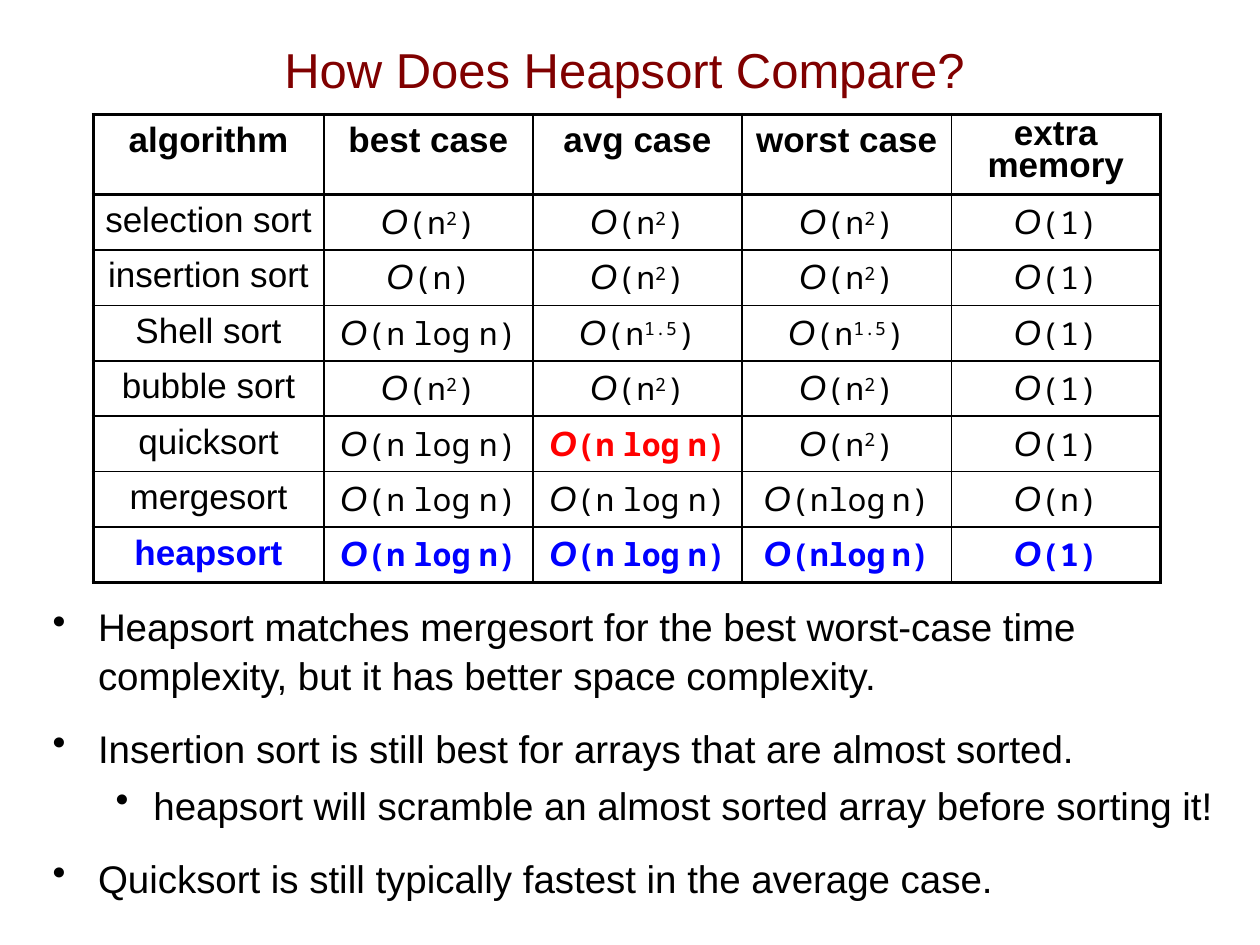
import pptx
import pptx.dml.color
import pptx.enum.text
import pptx.oxml
import pptx.oxml.ns
import pptx.util
from pptx.util import Inches

COLORS = {"title": "800000", "text": "000000", "fast": "FF0000", "heapsort": "0000FF"}
HEADERS = ["algorithm", "best case", "avg case", "worst case", "extra memory"]
SORTS = [
    ["selection sort", "n^2", "n^2", "n^2", "1"],
    ["insertion sort", "n", "n^2", "n^2", "1"],
    ["Shell sort", "n log n", "n^1.5", "n^1.5", "1"],
    ["bubble sort", "n^2", "n^2", "n^2", "1"],
    ["quicksort", "n log n", "n log n", "n^2", "1"],
    ["mergesort", "n log n", "n log n", "nlog n", "n"],
    ["heapsort", "n log n", "n log n", "nlog n", "1"],
]
BULLETS = [
    (0, 0, "Heapsort matches mergesort for the best worst-case time complexity, "
           "but it has better space complexity."),
    (0, 14, "Insertion sort is still best for arrays that are almost sorted."),
    (1, 5, "heapsort will scramble an almost sorted array before sorting it!"),
    (0, 14, "Quicksort is still typically fastest in the average case."),
]
BULLET_INDENTS = [(0.36, -0.36), (0.8, -0.3)]


class SlideBuilder:
    body_font = "Arial"
    code_font = "Noto Sans Mono"
    thick, thin = 2.25, 1

    def __init__(self, slide):
        self.slide = slide

    def style(self, font, size, color="text", bold=False, italic=False, name=None):
        font.name = name or self.body_font
        font.size = pptx.util.Pt(size)
        font.bold = bold
        font.italic = italic
        font.color.rgb = pptx.dml.color.RGBColor.from_string(COLORS[color])

    def text_box(self, left, top, width, height):
        shape = self.slide.shapes.add_textbox(
            Inches(left), Inches(top), Inches(width), Inches(height))
        shape.text_frame.word_wrap = True
        return shape.text_frame

    def title(self, text, *box):
        frame = self.text_box(*box)
        frame.vertical_anchor = pptx.enum.text.MSO_ANCHOR.MIDDLE
        paragraph = frame.paragraphs[0]
        paragraph.text = text
        paragraph.alignment = pptx.enum.text.PP_ALIGN.CENTER
        self.style(paragraph.font, 28, "title")

    def bullets(self, items, *box):
        frame = self.text_box(*box)
        for index, (level, space, text) in enumerate(items):
            paragraph = frame.add_paragraph() if index else frame.paragraphs[0]
            paragraph.text = text
            paragraph.level = level
            paragraph.line_spacing = 1.05
            paragraph.space_before = pptx.util.Pt(space)
            self.style(paragraph.font, 22)
            margin, indent = BULLET_INDENTS[level]
            properties = paragraph._p.get_or_add_pPr()
            properties.set("marL", str(Inches(margin)))
            properties.set("indent", str(Inches(indent)))
            bullet = pptx.oxml.parse_xml(
                f'<a:buChar {pptx.oxml.ns.nsdecls("a")} char="•"/>')
            properties.find(pptx.oxml.ns.qn("a:defRPr")).addprevious(bullet)

    def borders(self, cell, widths):
        properties = cell._tc.get_or_add_tcPr()
        for side, width in zip("LRTB", widths):
            properties.append(pptx.oxml.parse_xml(
                f'<a:ln{side} {pptx.oxml.ns.nsdecls("a")} w="{pptx.util.Pt(width)}">'
                f'<a:solidFill><a:srgbClr val="{COLORS["text"]}"/></a:solidFill>'
                f'</a:ln{side}>'))
        cell.fill.background()

    def formula(self, paragraph, content, color, bold):
        def add(text, size=18, name=self.code_font, italic=False):
            run = paragraph.add_run()
            run.text = text
            self.style(run.font, size, color, bold, italic, name)
            return run

        add("O", 20, self.body_font, True)
        base, _, power = content.partition("^")
        if power:
            add("(" + base)
            add(power)._r.get_or_add_rPr().set("baseline", "30000")
            add(")")
            return
        gap = 6 if content.startswith("nlog") else 8
        for index, word in enumerate(f"({content})".split(" ")):
            if index:
                add(" ", gap)
            add(word)

    def table(self, rows, left, top, column_widths, row_heights):
        table = self.slide.shapes.add_table(
            len(rows), len(column_widths), Inches(left), Inches(top),
            Inches(sum(column_widths)), Inches(sum(row_heights))).table
        table.first_row = table.horz_banding = False
        for column, width in zip(table.columns, column_widths):
            column.width = Inches(width)
        for row, height in zip(table.rows, row_heights):
            row.height = Inches(height)
        last_row, last_column = len(rows) - 1, len(column_widths) - 1
        for r, values in enumerate(rows):
            for c, value in enumerate(values):
                cell = table.cell(r, c)
                heavy = (c == 0, c == last_column, r <= 1, r in (0, last_row))
                self.borders(cell, [self.thick if edge else self.thin for edge in heavy])
                color = "text"
                if values[0] == "heapsort":
                    color = "heapsort"
                elif values[0] == "quicksort" and c == 2:
                    color = "fast"
                bold = r == 0 or color != "text"
                paragraph = cell.text_frame.paragraphs[0]
                paragraph.alignment = pptx.enum.text.PP_ALIGN.CENTER
                if r and c:
                    self.formula(paragraph, value, color, bold)
                    continue
                paragraph.text = value
                self.style(paragraph.font, 20, color, bold)
                if r:
                    cell.margin_left = cell.margin_right = 0
                elif c == last_column:
                    paragraph.line_spacing = 0.8


def main():
    presentation = pptx.Presentation()
    presentation.slide_width, presentation.slide_height = Inches(10), Inches(7.5)
    builder = SlideBuilder(presentation.slides.add_slide(presentation.slide_layouts[6]))
    builder.title("How Does Heapsort Compare?", 0.33, 0.08, 9.25, 0.93)
    builder.bullets(BULLETS, 0.32, 4.72, 9.54, 2.34)
    builder.table([HEADERS] + SORTS, 0.74, 0.91,
                  [1.83] + [1.66] * 4, [0.63] + [0.44] * len(SORTS))
    presentation.save("out.pptx")


if __name__ == "__main__":
    main()
